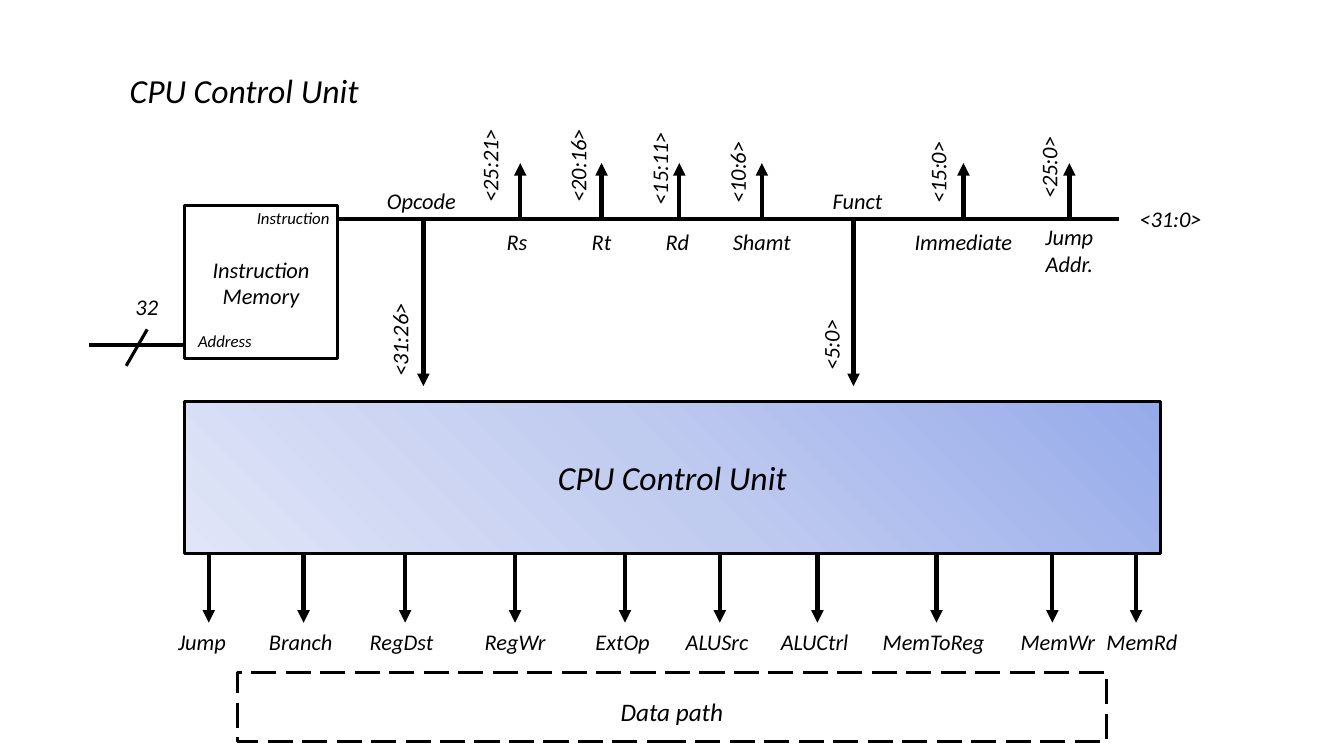
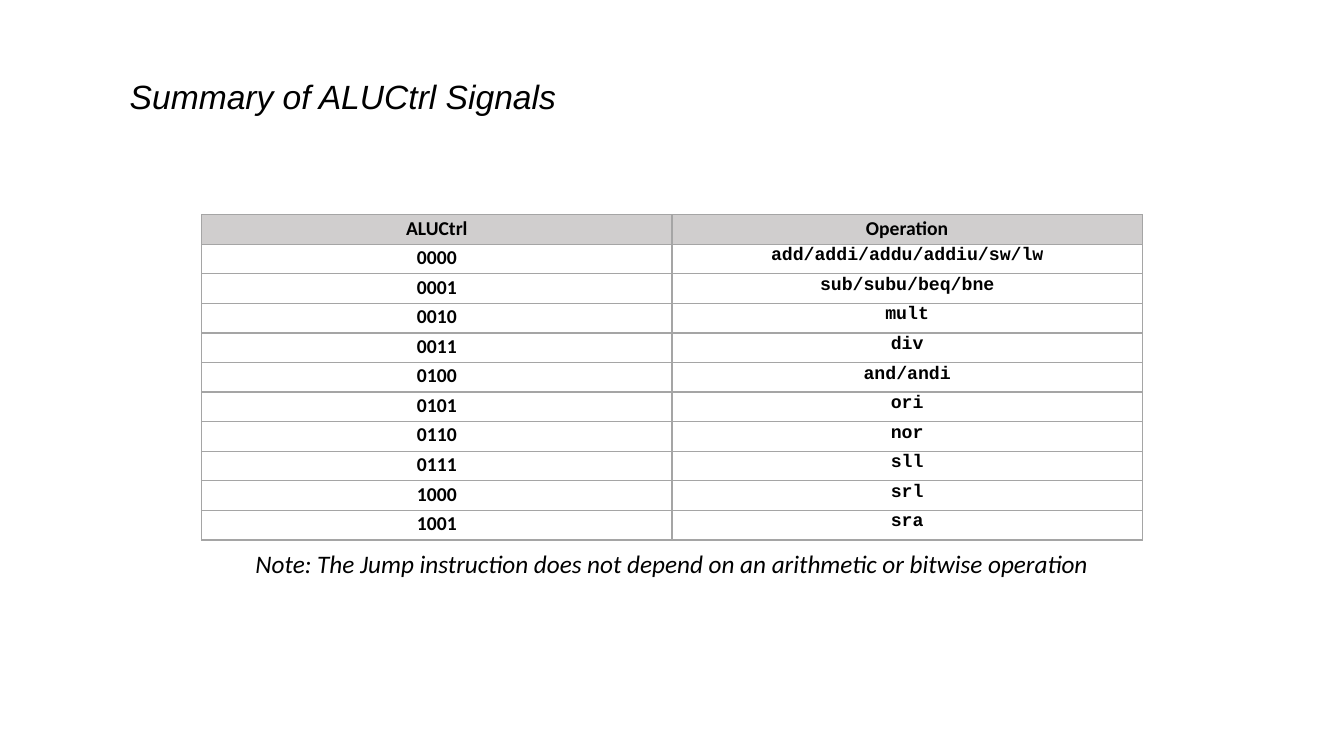
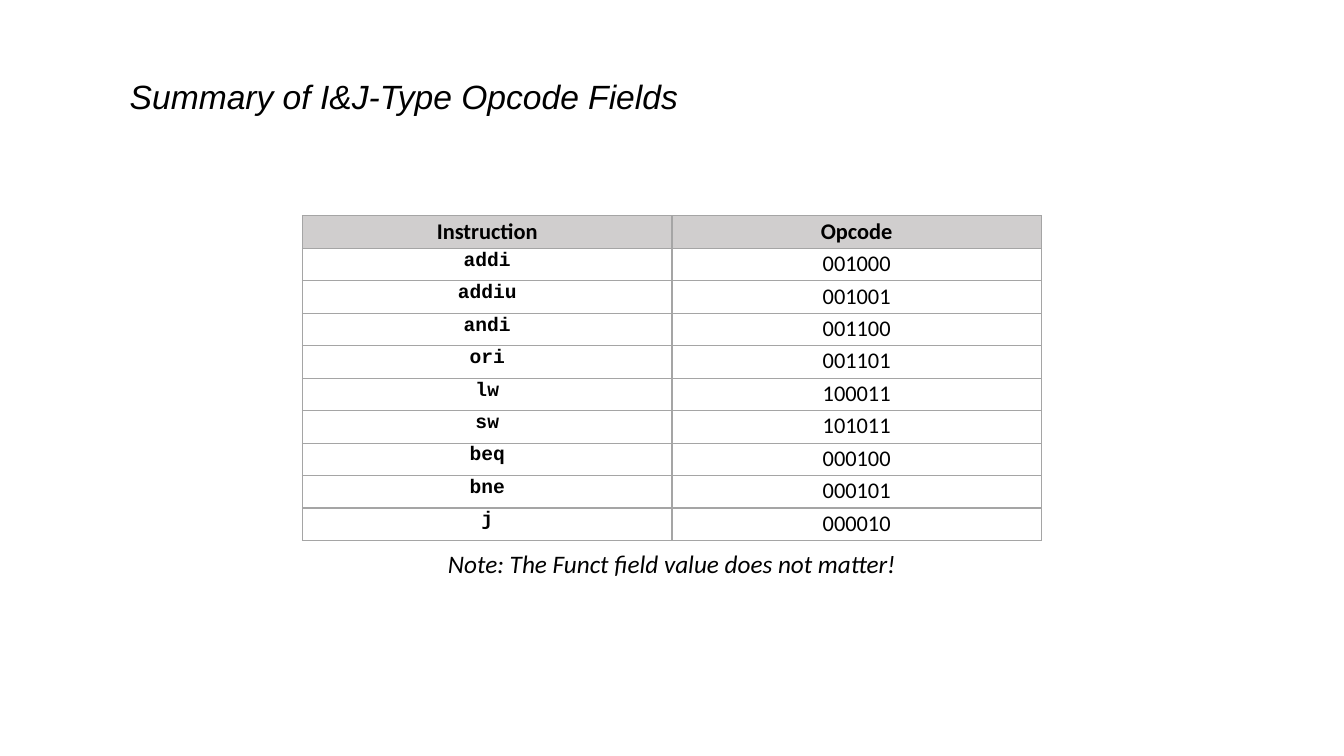
from copy import deepcopy

from lxml.etree import SubElement
from pptx import Presentation
from pptx.dml.color import RGBColor
from pptx.enum.dml import MSO_LINE
from pptx.enum.shapes import MSO_CONNECTOR, MSO_SHAPE
from pptx.enum.text import PP_ALIGN
from pptx.oxml.ns import qn
from pptx.util import Cm, Pt

BLACK = RGBColor(0x00, 0x00, 0x00)
WHITE = RGBColor(0xFF, 0xFF, 0xFF)
HEADER_GREY = RGBColor(0xD0, 0xCE, 0xCE)
BORDER_GREY = RGBColor(0xA5, 0xA5, 0xA5)
GRADIENT_BLUES = (
    RGBColor(0x96, 0xAB, 0xEA),
    RGBColor(0xC0, 0xCB, 0xF0),
    RGBColor(0xE0, 0xE5, 0xF7),
)

BODY_FONT = "Calibri"
TITLE_FONT = "Arial"
CODE_FONT = "Courier New"
LABEL_HEIGHT = 0.94
RANGE_WIDTH = 2.62
SLIDE_WIDTH = 33.87

# Field, arrow x, label shift, label width, bit range, range shift x and y
BUS_FIELDS = [
    ("Rs", 4.6, -0.08, 1.37, "<25:21>", -0.77, -1.33),
    ("Rt", 6.65, 0, 1.24, "<20:16>", -0.6, -1.33),
    ("Rd", 8.61, -0.05, 1.4, "<15:11>", -0.5, -1.26),
    ("Shamt", 10.69, 0, 2.16, "<10:6>", -0.62, -1.16),
    ("Immediate", 15.77, 0, 3.18, "<15:0>", -0.65, -1.16),
    ("Jump\nAddr.", 18.44, 0, 1.9, "<25:0>", -0.52, -1.28),
]
CONTROL_FIELDS = [
    ("Opcode", 2.16, -0.05, 2.67, "<31:26>", -0.6, 3.06),
    ("Funct", 13, 0.1, 1.93, "<5:0>", -0.57, 3.19),
]

# Signal, arrow x, label shift, label width
CONTROL_SIGNALS = [
    ("Jump", 0.61, -0.17, 1.9),
    ("Branch", 3, -0.07, 2.31),
    ("RegDst", 5.56, -0.09, 2.41),
    ("RegWr", 8.33, 0, 2.29),
    ("ExtOp", 11.1, -0.06, 2.26),
    ("ALUSrc", 13.49, -0.07, 2.64),
    ("ALUCtrl", 15.95, -0.07, 2.67),
    ("MemToReg", 18.95, -0.07, 3.61),
    ("MemWr", 21.87, 0.14, 2.67),
    ("MemRd", 23.98, 0.15, 2.54),
]

ALU_ROWS = [
    ("ALUCtrl", "Operation"),
    ("0000", "add/addi/addu/addiu/sw/lw"),
    ("0001", "sub/subu/beq/bne"),
    ("0010", "mult"),
    ("0011", "div"),
    ("0100", "and/andi"),
    ("0101", "ori"),
    ("0110", "nor"),
    ("0111", "sll"),
    ("1000", "srl"),
    ("1001", "sra"),
]
OPCODE_ROWS = [
    ("Instruction", "Opcode"),
    ("addi", "001000"),
    ("addiu", "001001"),
    ("andi", "001100"),
    ("ori", "001101"),
    ("lw", "100011"),
    ("sw", "101011"),
    ("beq", "000100"),
    ("bne", "000101"),
    ("j", "000010"),
]


# Shared parts
def format_paragraphs(text_frame, font_name, size, alignment, bold=False, italic=False):
    for paragraph in text_frame.paragraphs:
        paragraph.alignment = alignment
        for run in paragraph.runs:
            run.font.name = font_name
            run.font.size = Pt(size)
            run.font.bold = bold
            run.font.italic = italic
            run.font.color.rgb = BLACK


def add_text(slide, text, left, top, width, size, font_name=BODY_FONT,
             alignment=PP_ALIGN.CENTER):
    height = 0.25 + 0.043 * size * (text.count("\n") + 1)
    box = slide.shapes.add_textbox(Cm(left), Cm(top), Cm(width), Cm(height))
    box.text_frame.word_wrap = False
    box.text_frame.text = text
    format_paragraphs(box.text_frame, font_name, size, alignment, italic=True)
    return box


def add_label(slide, text, center, top, width, size=16):
    return add_text(slide, text, center - width / 2, top, width, size)


def add_range(slide, text, center, middle):
    label = add_label(slide, text, center, middle - LABEL_HEIGHT / 2, RANGE_WIDTH)
    label.rotation = 270


def add_title(slide, text, top, width, font_name=TITLE_FONT):
    add_text(slide, text, 3.02, top, width, 24, font_name, PP_ALIGN.LEFT)


def add_line(slide, start_x, start_y, end_x, end_y, weight=3, arrow=False):
    line = slide.shapes.add_connector(
        MSO_CONNECTOR.STRAIGHT, Cm(start_x), Cm(start_y), Cm(end_x), Cm(end_y))
    line.line.color.rgb = BLACK
    line.line.width = Pt(weight)
    if arrow:
        SubElement(line.line._get_or_add_ln(), qn("a:tailEnd"), type="triangle")
    SubElement(line._element.spPr, qn("a:effectLst"))


def add_box(slide, left, top, width, height):
    box = slide.shapes.add_shape(
        MSO_SHAPE.RECTANGLE, Cm(left), Cm(top), Cm(width), Cm(height))
    box.shadow.inherit = False
    box.fill.background()
    box.line.color.rgb = BLACK
    box.line.width = Pt(2.25)
    return box


def fill_gradient(shape):
    shape.fill.gradient()
    shape.fill.gradient_angle = 225
    stop_list = shape._element.spPr.find(qn("a:gradFill")).find(qn("a:gsLst"))
    stop_list.insert(1, deepcopy(stop_list[0]))
    for index, stop in enumerate(shape.fill.gradient_stops):
        stop.position = index / 2
        stop.color.rgb = GRADIENT_BLUES[index]


# Regions of the control unit diagram
def draw_instruction_memory(slide, left, top, side):
    add_box(slide, left, top, side, side)
    add_label(slide, "Instruction\nMemory", left + side / 2, top + 1.14, 3.3)
    add_label(slide, "Instruction", left + 2.74, top - 0.08, 2.59, 12)
    add_label(slide, "Address", left + 1.02, top + 3.02, 2.18, 12)
    # Address input, 32 bits wide
    add_line(slide, left - 2.41, top + 3.51, left, top + 3.51)
    add_line(slide, left - 1.47, top + 4.04, left - 0.94, top + 3.12, 2.25)
    add_label(slide, "32", left - 0.95, top + 2.08, 1.35)


def draw_instruction_bus(slide, left, top, width):
    add_line(slide, left, top, left + width, top)
    add_label(slide, "<31:0>", left + width + 1.3, top - 0.47, 2.29)
    directions = ((BUS_FIELDS, -1.4, 0.12), (CONTROL_FIELDS, 4.22, -0.93))
    for fields, arrow_length, label_top in directions:
        for name, offset, shift, label_width, bits, range_x, range_y in fields:
            x = left + offset
            add_line(slide, x, top, x, top + arrow_length, arrow=True)
            name_top = top if "\n" in name else top + label_top
            add_label(slide, name, x + shift, name_top, label_width)
            add_range(slide, bits, x + range_x, top + range_y)


def draw_control_unit(slide, left, top, width, height):
    fill_gradient(add_box(slide, left, top, width, height))
    add_label(slide, "CPU Control Unit", left + width / 2, top + 1.28, 7.09, 24)
    bottom = top + height
    for name, offset, shift, label_width in CONTROL_SIGNALS:
        x = left + offset
        add_line(slide, x, bottom, x, bottom + 1.75, arrow=True)
        add_label(slide, name, x + shift, bottom + 1.77, label_width)


def draw_data_path(slide, left, top, width, height):
    add_box(slide, left, top, width, height).line.dash_style = MSO_LINE.LONG_DASH
    add_label(slide, "Data path", left + width / 2, top + 0.48, 3.23, 18)


# Table slides
def add_cell_borders(cell):
    properties = cell._tc.get_or_add_tcPr()
    for index, side in enumerate(("a:lnL", "a:lnR", "a:lnT", "a:lnB")):
        border = SubElement(properties, qn(side), w=str(Pt(1)))
        fill = SubElement(border, qn("a:solidFill"))
        SubElement(fill, qn("a:srgbClr"), val=str(BORDER_GREY))
        properties.remove(border)
        properties.insert(index, border)


def add_summary_table(slide, rows, top, width, height, margin, header_size, column_styles):
    frame = slide.shapes.add_table(
        len(rows), len(rows[0]), Cm((SLIDE_WIDTH - width) / 2), Cm(top),
        Cm(width), Cm(height))
    table = frame.table
    for row_index, row in enumerate(rows):
        table.rows[row_index].height = Cm(height / len(rows))
        is_header = row_index == 0
        for column_index, text in enumerate(row):
            cell = table.cell(row_index, column_index)
            cell.margin_left = cell.margin_right = Cm(margin)
            cell.margin_top = cell.margin_bottom = 0
            cell.fill.solid()
            cell.fill.fore_color.rgb = HEADER_GREY if is_header else WHITE
            add_cell_borders(cell)
            style = (BODY_FONT, header_size, True) if is_header else column_styles[column_index]
            font_name, size, bold = style
            cell.text_frame.text = text
            cell.text_frame.paragraphs[0].line_spacing = 1.07
            format_paragraphs(cell.text_frame, font_name, size, PP_ALIGN.CENTER, bold)


def add_note(slide, text):
    note = add_label(slide, text, SLIDE_WIDTH / 2, 13.64, 23.11, 18)
    note.text_frame.word_wrap = True
    note.text_frame.paragraphs[0].line_spacing = 1.07


# Slides
def build_control_unit_slide(slide):
    add_title(slide, "CPU Control Unit", 1.63, 7.09, BODY_FONT)
    draw_control_unit(slide, 4.65, 10.11, 24.59, 3.83)
    draw_instruction_memory(slide, 4.65, 5.18, 3.86)
    draw_instruction_bus(slide, 8.51, 5.51, 19.69)
    draw_data_path(slide, 5.99, 16.94, 21.89, 1.75)


def build_alu_slide(slide):
    add_title(slide, "Summary of ALUCtrl Signals", 1.78, 11.81)
    add_summary_table(slide, ALU_ROWS, 5.41, 23.7, 8.2, 0.23, 14,
                      [(BODY_FONT, 14, True), (CODE_FONT, 13, True)])
    add_note(slide, "Note: The Jump instruction does not depend on an "
                    "arithmetic or bitwise operation")


def build_opcode_slide(slide):
    add_title(slide, "Summary of I&J-Type Opcode Fields", 1.78, 14.78)
    add_summary_table(slide, OPCODE_ROWS, 5.44, 18.62, 8.18, 0.18, 16,
                      [(CODE_FONT, 14, True), (BODY_FONT, 16, False)])
    add_note(slide, "Note: The Funct field value does not matter!")


def main():
    presentation = Presentation()
    presentation.slide_width = Cm(SLIDE_WIDTH)
    presentation.slide_height = Cm(19.05)
    for build_slide in (build_control_unit_slide, build_alu_slide, build_opcode_slide):
        build_slide(presentation.slides.add_slide(presentation.slide_layouts[6]))
    presentation.save("out.pptx")


if __name__ == "__main__":
    main()
